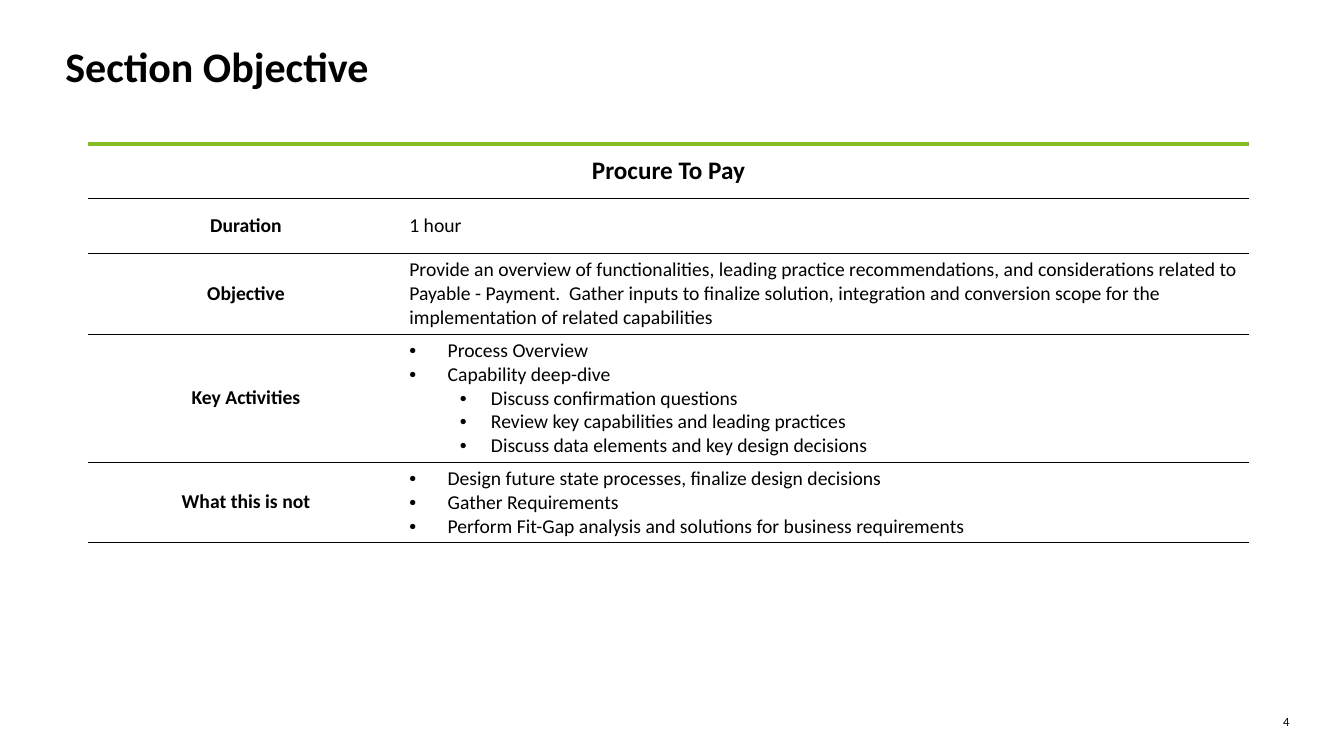
import pptx
import pptx.dml.color
import pptx.enum.text
import pptx.oxml
import pptx.oxml.ns
import pptx.util
from pptx.util import Inches

BLACK, GREEN = "000000", "86BC25"
ALIGN = pptx.enum.text.PP_ALIGN
LABEL = {"size": 14, "bold": True, "align": ALIGN.CENTER}
# Bullet level: (text indent, hanging indent) in inches
BULLET_INDENTS = [(0.38, 0.38), (0.81, 0.31)]
COLUMN_WIDTHS = [3.14, 8.38]
HEADING = "Procure To Pay"
# Label, row height, lines of (text, bullet level or None)
ROWS = [
    ("Duration", 0.54, [("1 hour", None)]),
    ("Objective", 0.8, [(
        "Provide an overview of functionalities, leading practice recommendations, "
        "and considerations related to Payable - Payment.  Gather inputs to finalize "
        "solution, integration and conversion scope for the implementation of "
        "related capabilities", None)]),
    ("Key Activities", 1.27, [
        ("Process Overview", 0),
        ("Capability deep-dive", 0),
        ("Discuss confirmation questions", 1),
        ("Review key capabilities and leading practices", 1),
        ("Discuss data elements and key design decisions", 1)]),
    ("What this is not", 0.8, [
        ("Design future state processes, finalize design decisions", 0),
        ("Gather Requirements", 0),
        ("Perform Fit-Gap analysis and solutions for business requirements", 0)]),
]


def color(value):
    return pptx.dml.color.RGBColor.from_string(value)


def xml_element(markup):
    """Parse markup whose first tag has the a: prefix."""
    head, tail = markup.split(" ", 1)
    return pptx.oxml.parse_xml(f"{head} {pptx.oxml.ns.nsdecls('a')} {tail}")


def add_bullet(para, level):
    left, hanging = BULLET_INDENTS[level]
    para.level = level
    properties = para._p.get_or_add_pPr()
    properties.set("marL", str(Inches(left)))
    properties.set("indent", str(-Inches(hanging)))
    properties.append(xml_element('<a:buFont typeface="Arial"/>'))
    properties.append(xml_element('<a:buChar char="•"/>'))


def write(para, text, size=14, bold=False, align=ALIGN.LEFT, bullet=None):
    para.alignment = align
    if bullet is not None:
        add_bullet(para, bullet)
    span = para.add_run()
    span.text = text
    span.font.name = "Calibri"
    span.font.size = pptx.util.Pt(size)
    span.font.bold = bold
    span.font.color.rgb = color(BLACK)


def add_text(page, left, top, width, height, text, inset=None, **style):
    box = page.shapes.add_textbox(*map(Inches, (left, top, width, height)))
    frame = box.text_frame
    frame.word_wrap = True
    if inset is not None:
        frame.margin_left = frame.margin_right = Inches(inset)
        frame.margin_top = frame.margin_bottom = Inches(inset)
    write(frame.paragraphs[0], text, **style)


def set_border(cell, side, value=None, points=0.25):
    """Draw one cell edge, or hide it when no colour is given."""
    fill = (f'<a:solidFill><a:srgbClr val="{value}"/></a:solidFill>'
            if value else "<a:noFill/>")
    cell._tc.get_or_add_tcPr().append(xml_element(
        f'<a:ln{side} w="{pptx.util.Pt(points)}">{fill}</a:ln{side}>'))


def format_cell(cell, is_heading):
    cell.vertical_anchor = pptx.enum.text.MSO_ANCHOR.MIDDLE
    cell.margin_left = cell.margin_right = Inches(0.05)
    cell.margin_top = cell.margin_bottom = Inches(0.05)
    set_border(cell, "L")
    set_border(cell, "R")
    set_border(cell, "T", *((GREEN, 3) if is_heading else (BLACK,)))
    set_border(cell, "B", BLACK)
    cell.fill.background()


def add_objective_table(page, left, top, heading_height=0.54):
    heights = [heading_height] + [height for _, height, _ in ROWS]
    table = page.shapes.add_table(
        len(heights), len(COLUMN_WIDTHS), Inches(left), Inches(top),
        Inches(sum(COLUMN_WIDTHS)), Inches(sum(heights))).table
    table.first_row = table.horz_banding = False
    for column, width in zip(table.columns, COLUMN_WIDTHS):
        column.width = Inches(width)
    for index, (row, height) in enumerate(zip(table.rows, heights)):
        row.height = Inches(height)
        for cell in row.cells:
            format_cell(cell, index == 0)

    table.cell(0, 0).merge(table.cell(0, 1))
    write(table.cell(0, 0).text_frame.paragraphs[0], HEADING, **{**LABEL, "size": 18})
    for index, (label, _, lines) in enumerate(ROWS, start=1):
        write(table.cell(index, 0).text_frame.paragraphs[0], label, **LABEL)
        frame = table.cell(index, 1).text_frame
        for number, (text, level) in enumerate(lines):
            para = frame.add_paragraph() if number else frame.paragraphs[0]
            write(para, text, bullet=level)


def main():
    deck = pptx.Presentation()
    deck.slide_width, deck.slide_height = Inches(13.33), Inches(7.5)
    page = deck.slides.add_slide(deck.slide_layouts[6])
    add_text(page, 12.45, 7.08, 0.34, 0.15, "4", inset=0, size=9, align=ALIGN.RIGHT)
    add_text(page, 0.55, 0.35, 12.24, 0.37, "Section Objective", size=30, bold=True)
    add_objective_table(page, 0.87, 1.43)
    deck.save("out.pptx")


if __name__ == "__main__":
    main()
